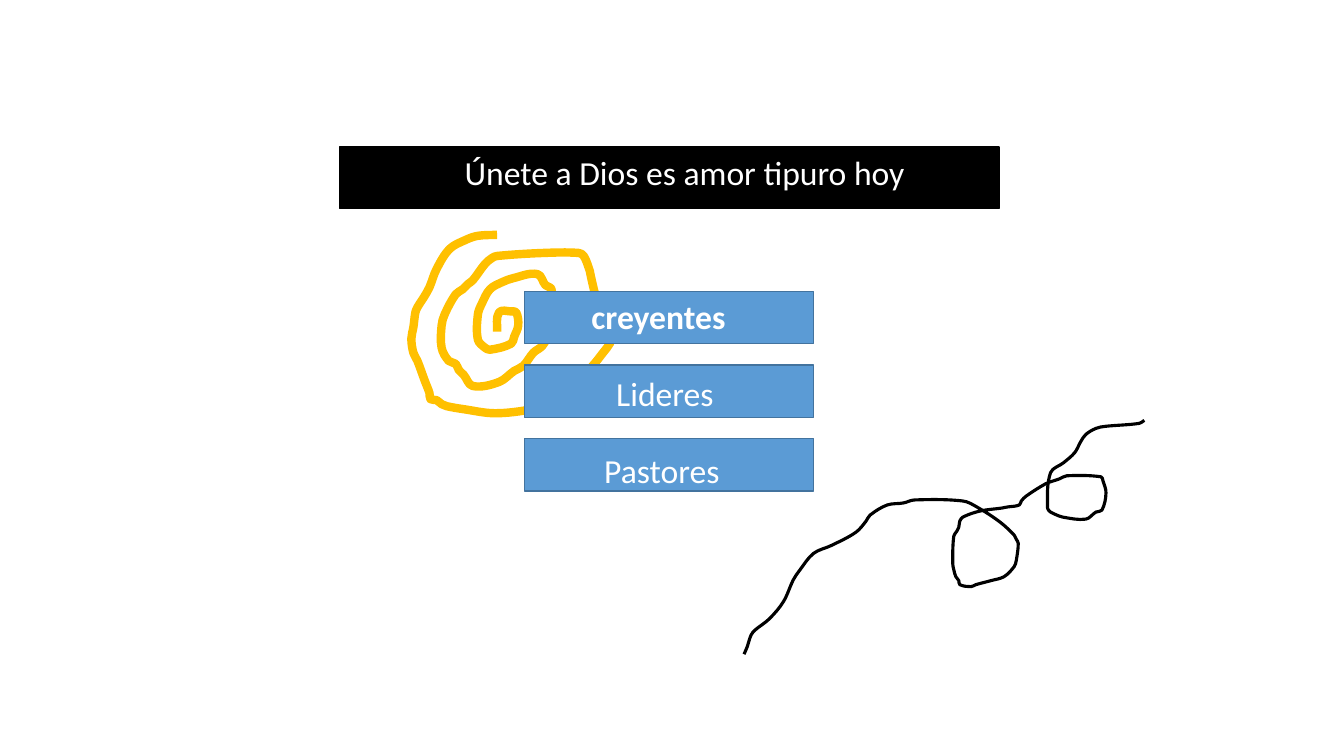
import math

from lxml import etree
from pptx import Presentation
from pptx.dml.color import RGBColor
from pptx.enum.shapes import MSO_SHAPE
from pptx.enum.text import MSO_ANCHOR, MSO_AUTO_SIZE, PP_ALIGN
from pptx.oxml.ns import qn
from pptx.util import Inches, Pt

BLACK = RGBColor(0x00, 0x00, 0x00)
WHITE = RGBColor(0xFF, 0xFF, 0xFF)
BLUE = RGBColor(0x5B, 0x9B, 0xD5)
DARK_BLUE = RGBColor(0x43, 0x73, 0x9E)
GOLD = RGBColor(0xFF, 0xC0, 0x00)
FONT = "Calibri"

# Stroke anchors, in hundredths of an inch from the corner of their box
SPIRAL = [
    (85, 0), (66, 1), (54, 5), (38, 14), (25, 34), (18, 52), (13, 61), (6, 72),
    (4, 77), (2, 92), (0, 103), (2, 117), (6, 125), (13, 144), (18, 157),
    (19, 163), (25, 164), (30, 168), (35, 170), (52, 173), (83, 177),
    (120, 173), (133, 168), (161, 152), (178, 132), (187, 121), (199, 103),
    (196, 92), (194, 85), (190, 79), (185, 67), (182, 58), (178, 41),
    (177, 36), (171, 21), (166, 18), (131, 18), (85, 21), (80, 23), (73, 29),
    (61, 45), (56, 49), (51, 54), (44, 59), (33, 79), (30, 90), (30, 112),
    (37, 125), (44, 128), (47, 134), (52, 139), (61, 150), (87, 146),
    (102, 135), (111, 130), (121, 117), (130, 110), (139, 94), (140, 88),
    (139, 54), (133, 50), (125, 39), (101, 43), (90, 47), (78, 54), (70, 68),
    (66, 79), (66, 104), (73, 112), (78, 114), (99, 108), (102, 101),
    (106, 90), (104, 77), (99, 76), (87, 77), (85, 96),
]
LOOPS = [
    (0, 232), (3, 225), (7, 213), (11, 208), (25, 197), (39, 180), (49, 158),
    (55, 149), (69, 132), (87, 124), (111, 111), (121, 100), (125, 94),
    (142, 84), (158, 82), (169, 79), (217, 80), (231, 86), (254, 101),
    (268, 114), (270, 118), (272, 122), (270, 139), (268, 145), (258, 155),
    (245, 159), (230, 163), (225, 165), (214, 163), (213, 159), (210, 155),
    (208, 148), (207, 142), (208, 115), (211, 110), (213, 106), (214, 100),
    (217, 96), (234, 90), (256, 87), (261, 86), (273, 84), (275, 80),
    (280, 75), (299, 63), (307, 60), (313, 58), (320, 55), (354, 56),
    (356, 60), (359, 72), (355, 89), (349, 91), (339, 98), (316, 96),
    (308, 93), (304, 91), (301, 87), (304, 52), (317, 42), (328, 32),
    (334, 21), (339, 14), (349, 8), (358, 6), (392, 3), (397, 0),
]


def directions_at(points):
    """Return the unit direction of travel at each point."""
    directions = []
    for before, after in zip(points[:1] + points[:-1], points[1:] + points[-1:]):
        length = math.dist(before, after)
        directions.append([(b - a) / length for a, b in zip(before, after)])
    return directions


def smooth(stroke):
    """Turn the straight segments of a freeform into smooth curves."""
    path = next(stroke._element.iter(qn("a:path")))
    points = [(int(pt.get("x")), int(pt.get("y"))) for pt in path.iter(qn("a:pt"))]
    directions = directions_at(points)
    for i, line in enumerate(path.findall(qn("a:lnTo"))):
        start, end = points[i], points[i + 1]
        reach = math.dist(start, end) / 3
        leave = [a + reach * u for a, u in zip(start, directions[i])]
        arrive = [b - reach * v for b, v in zip(end, directions[i + 1])]
        curve = etree.Element(qn("a:cubicBezTo"))
        for x, y in (leave, arrive, end):
            etree.SubElement(curve, qn("a:pt"), x=str(round(x)), y=str(round(y)))
        path.replace(line, curve)


def add_stroke(slide, left, top, anchors, color, width):
    """Draw an open freehand stroke from the box corner at left, top."""
    points = [(Inches(left + x / 100), Inches(top + y / 100)) for x, y in anchors]
    builder = slide.shapes.build_freeform(*points[0])
    builder.add_line_segments(points[1:], close=False)
    stroke = builder.convert_to_shape()
    smooth(stroke)
    stroke.shadow.inherit = False
    stroke.fill.background()
    stroke.line.color.rgb = color
    stroke.line.width = Pt(width)


def paint(shape, fill, line):
    """Give a shape a solid fill and a thin outline."""
    shape.fill.solid()
    shape.fill.fore_color.rgb = fill
    shape.line.color.rgb = line
    shape.line.width = Pt(1)


def write(shape, text, bold=False):
    """Write one centred white line at the top of a shape."""
    frame = shape.text_frame
    frame.word_wrap = True
    frame.auto_size = MSO_AUTO_SIZE.NONE
    frame.vertical_anchor = MSO_ANCHOR.TOP
    frame.text = text
    paragraph = frame.paragraphs[0]
    paragraph.alignment = PP_ALIGN.CENTER
    paragraph.line_spacing = 1.0
    font = paragraph.runs[0].font
    font.name, font.size, font.bold = FONT, Pt(24), bold
    font.color.rgb = WHITE


def place_title(slide, left, top, width, height):
    """Turn the title placeholder into the black banner."""
    title = slide.shapes.title
    title.left, title.top = Inches(left), Inches(top)
    title.width, title.height = Inches(width), Inches(height)
    paint(title, BLACK, BLACK)
    write(title, "Únete a Dios es amor tipuro hoy")
    title.text_frame.margin_left = Inches(0.4)


def add_groups(slide, left, top, width):
    """Stack the three group bars and lay their labels over them."""
    bar_height, bar_pitch, label_pitch = 0.52, 0.73, 0.76
    labels = [("creyentes", 0.19, 2.28), ("Lideres", 0.43, 1.93),
              ("Pastores", 0.55, 1.63)]
    for row in range(len(labels)):
        bar = slide.shapes.add_shape(
            MSO_SHAPE.RECTANGLE, Inches(left), Inches(top + row * bar_pitch),
            Inches(width), Inches(bar_height))
        bar.shadow.inherit = False
        paint(bar, BLUE, DARK_BLUE)
    for row, (text, indent, label_width) in enumerate(labels):
        label = slide.shapes.add_textbox(
            Inches(left + indent), Inches(top + row * label_pitch),
            Inches(label_width), Inches(0.5))
        write(label, text, bold=row == 0)


def build_slide(prs):
    """Add the slide with its banner, strokes and group bars."""
    slide = prs.slides.add_slide(prs.slide_layouts[5])
    place_title(slide, 3.37, 1.46, 6.54, 0.61)
    add_stroke(slide, 4.08, 2.33, SPIRAL, GOLD, 6)
    add_groups(slide, 5.2, 2.89, 2.87)
    add_stroke(slide, 7.38, 4.17, LOOPS, BLACK, 2.25)


prs = Presentation()
prs.slide_width, prs.slide_height = Inches(13.33), Inches(7.5)
build_slide(prs)
prs.save("out.pptx")
